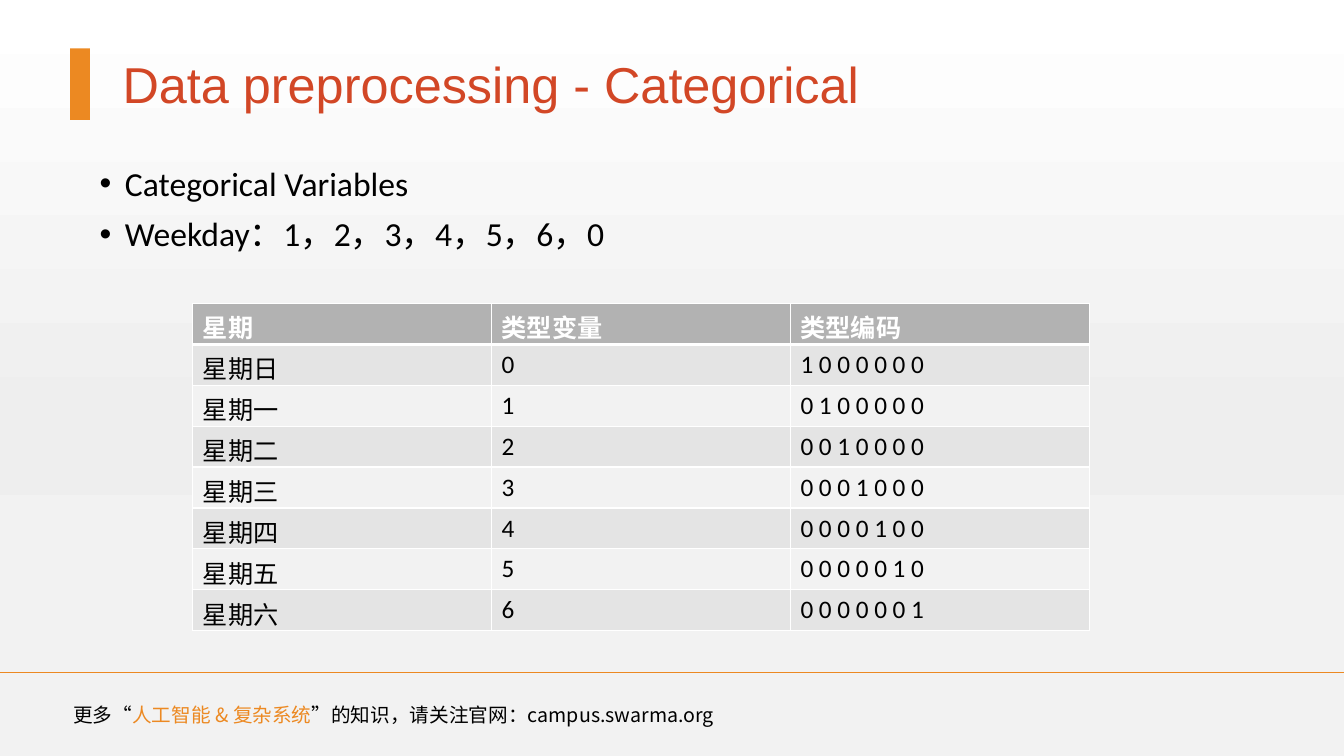
"""Build a slide on one-hot encoding of a categorical weekday variable."""
from copy import deepcopy
from dataclasses import dataclass

from lxml import etree
from pptx import Presentation
from pptx.dml.color import RGBColor
from pptx.enum.shapes import MSO_CONNECTOR, MSO_SHAPE
from pptx.enum.text import MSO_AUTO_SIZE
from pptx.oxml.ns import qn
from pptx.util import Cm, Pt

RECTANGLE = MSO_SHAPE.RECTANGLE
STRAIGHT = MSO_CONNECTOR.STRAIGHT
GROW = MSO_AUTO_SIZE.SHAPE_TO_FIT_TEXT


@dataclass(frozen=True)
class Theme:
    title_font: str = "Arial"
    body_font: str = "Calibri"
    chinese_font: str = "Noto Sans CJK SC"
    red: str = "D24726"
    orange: str = "EC8922"
    black: str = "000000"
    white: str = "FFFFFF"
    header: str = "B2B2B2"
    bands: tuple = ("E4E4E4", "F2F2F2")
    backdrop: tuple = ((0, "FFFFFF"), (57, "EEEEEE"), (74, "F2F2F2"), (100, "F2F2F2"))
    title_size: int = 36
    body_size: int = 24
    table_size: int = 18
    footer_size: int = 14


theme = Theme()


def add_run(paragraph, text, font, size, color, bold=False):
    run = paragraph.add_run()
    run.text = text
    run.font.name = font
    run.font.size = Pt(size)
    run.font.bold = bold
    run.font.color.rgb = RGBColor.from_string(color)
    east_asian = etree.SubElement(run.font._element, qn("a:ea"))
    east_asian.set("typeface", theme.chinese_font)


def add_text_box(left, top, width, height):
    box = slide.shapes.add_textbox(Cm(left), Cm(top), Cm(width), Cm(height))
    box.text_frame.word_wrap = True
    return box.text_frame


presentation = Presentation()
presentation.slide_width = Cm(33.87)
presentation.slide_height = Cm(19.05)
slide = presentation.slides.add_slide(presentation.slide_layouts[6])

backdrop = slide.shapes.add_shape(
    RECTANGLE, 0, 0, presentation.slide_width, presentation.slide_height)
backdrop.shadow.inherit = False
backdrop.line.fill.background()
backdrop.fill.gradient()
backdrop.fill.gradient_angle = 270
stop_list = backdrop._element.spPr.find(".//" + qn("a:gsLst"))
for _ in range(len(theme.backdrop) - len(stop_list)):
    stop_list.append(deepcopy(stop_list[0]))
for stop, (position, color) in zip(backdrop.fill.gradient_stops, theme.backdrop):
    stop.position = position / 100
    stop.color.rgb = RGBColor.from_string(color)

title = add_text_box(2.84, 1.22, 23.04, 1.8)
title.auto_size = GROW
add_run(title.paragraphs[0], "Data preprocessing - Categorical",
        theme.title_font, theme.title_size, theme.red)

title_bar = slide.shapes.add_shape(RECTANGLE, Cm(1.77), Cm(1.22), Cm(0.5), Cm(1.8))
title_bar.shadow.inherit = False
title_bar.fill.solid()
title_bar.fill.fore_color.rgb = RGBColor.from_string(theme.orange)
title_bar.line.fill.background()

footer_line = slide.shapes.add_connector(
    STRAIGHT, 0, Cm(16.94), presentation.slide_width, Cm(16.94))
footer_line.line.color.rgb = RGBColor.from_string(theme.orange)
footer_line.line.width = Pt(1)
etree.SubElement(footer_line._element.spPr, qn("a:effectLst"))

footer = add_text_box(1.6, 17.58, 19.94, 0.86)
footer.auto_size = GROW
for text, color in (
    ("更多“", theme.black),
    ("人工智能 & 复杂系统", theme.orange),
    ("”的知识，请关注官网：campus.swarma.org", theme.black),
):
    add_run(footer.paragraphs[0], text, theme.chinese_font, theme.footer_size, color)

body = add_text_box(2.26, 4.09, 26.67, 9.96)
for index, text in enumerate(("Categorical Variables", "Weekday：1，2，3，4，5，6，0")):
    paragraph = body.add_paragraph() if index else body.paragraphs[0]
    paragraph.line_spacing = 0.9
    paragraph.space_before = Pt(10 if index else 0)
    properties = paragraph._p.get_or_add_pPr()
    properties.set("marL", str(Cm(0.64)))
    properties.set("indent", str(-Cm(0.64)))
    etree.SubElement(properties, qn("a:buFont")).set("typeface", theme.title_font)
    etree.SubElement(properties, qn("a:buChar")).set("char", "•")
    add_run(paragraph, text, theme.body_font, theme.body_size, theme.black)

days = "日一二三四五六"
rows = [("星期", "类型变量", "类型编码")]
for number, day in enumerate(days):
    code = " ".join(str(int(place == number)) for place in range(len(days)))
    rows.append((f"星期{day}", str(number), code))

table = slide.shapes.add_table(
    len(rows), 3, Cm(4.86), Cm(7.65), Cm(22.59), Cm(8.24)).table
for column in table.columns:
    column.width = Cm(7.53)
for row_index, texts in enumerate(rows):
    table.rows[row_index].height = Cm(1.03)
    is_header = row_index == 0
    fill = theme.header if is_header else theme.bands[(row_index - 1) % 2]
    border_widths = {"L": 1, "R": 1, "T": 3 if row_index == 1 else 1,
                     "B": 3 if is_header else 1}
    for column_index, text in enumerate(texts):
        cell = table.cell(row_index, column_index)
        add_run(cell.text_frame.paragraphs[0], text, theme.body_font, theme.table_size,
                theme.white if is_header else theme.black, is_header)
        cell_properties = cell._tc.get_or_add_tcPr()
        for side, width in border_widths.items():
            border = etree.SubElement(cell_properties, qn(f"a:ln{side}"), w=str(Pt(width)))
            border_fill = etree.SubElement(border, qn("a:solidFill"))
            etree.SubElement(border_fill, qn("a:srgbClr"), val=theme.white)
        cell.fill.solid()
        cell.fill.fore_color.rgb = RGBColor.from_string(fill)

presentation.save("out.pptx")
